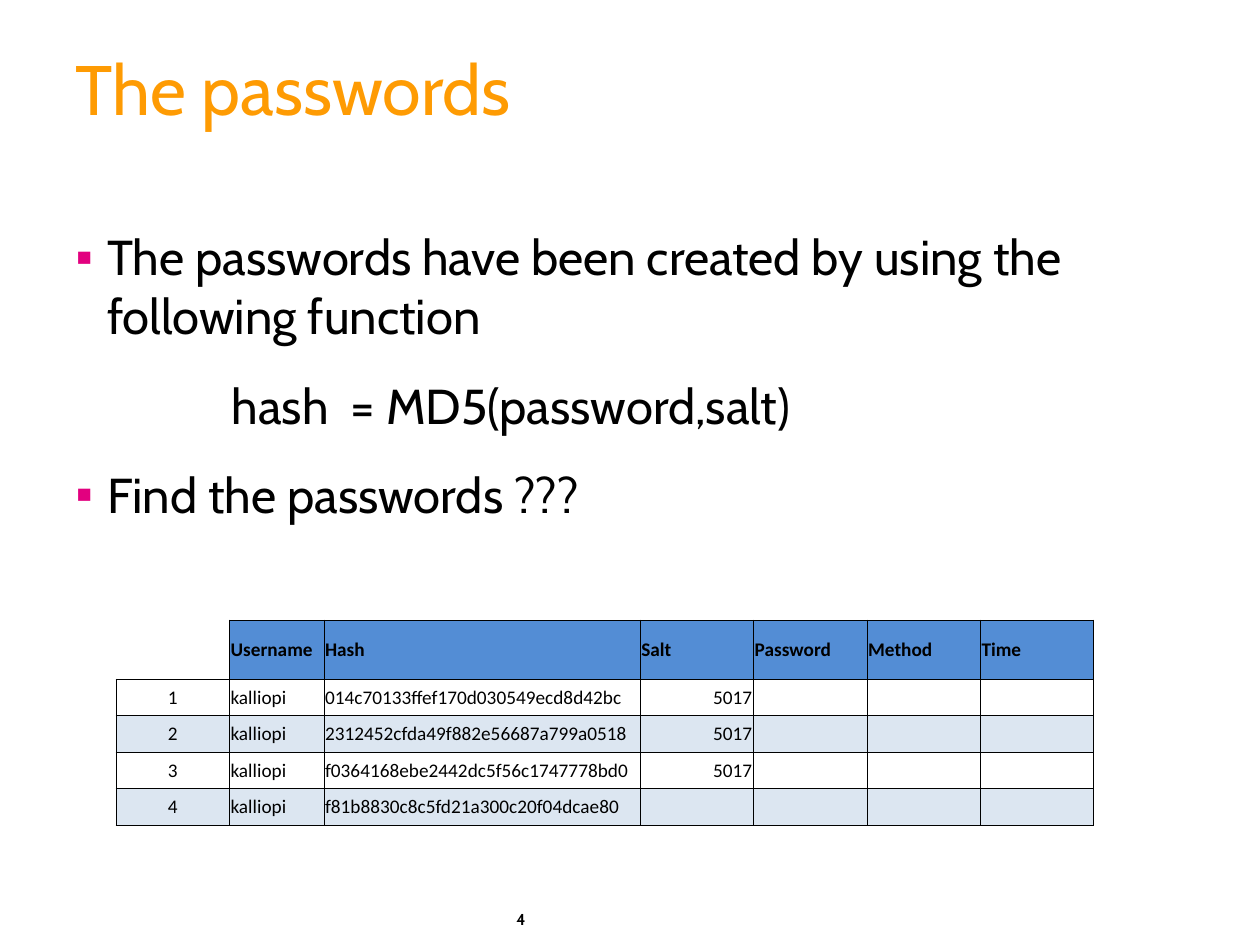
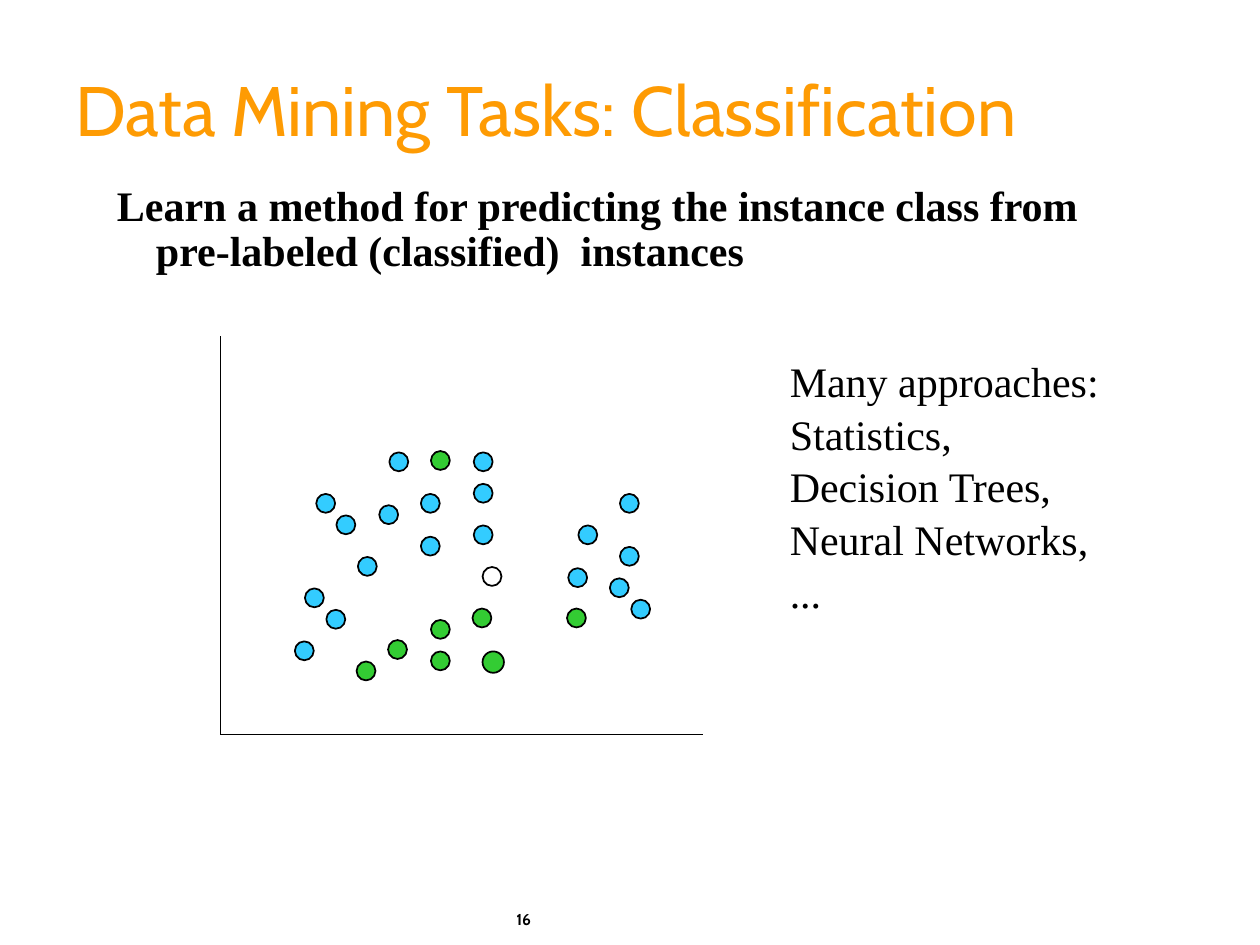
from lxml.etree import SubElement
from pptx import Presentation
from pptx.dml.color import RGBColor
from pptx.enum.shapes import MSO_CONNECTOR, MSO_SHAPE
from pptx.enum.text import MSO_ANCHOR, MSO_AUTO_SIZE, PP_ALIGN
from pptx.oxml import parse_xml
from pptx.oxml.ns import nsdecls, qn
from pptx.util import Inches, Pt

ORANGE = RGBColor(0xFE, 0x9B, 0x03)
PINK = RGBColor(0xE2, 0x00, 0x7F)
BLACK = RGBColor(0x00, 0x00, 0x00)
WHITE = RGBColor(0xFF, 0xFF, 0xFF)
HEAD = RGBColor(0x53, 0x8D, 0xD5)
BAND = RGBColor(0xDC, 0xE6, 0xF1)
SKY = RGBColor(0x33, 0xCC, 0xFF)
GREEN = RGBColor(0x33, 0xCC, 0x33)

MAIN, GRID, SERIF = "Cabin", "Calibri", "Times New Roman"
CONTENT, TITLED = 1, 5
LEFT, WIDE = 0.5, 9.08
DOT = 0.15

USERS = [
    ["", "Username", "Hash", "Salt", "Password", "Method", "Time"],
    ["1", "kalliopi", "014c70133ffef170d030549ecd8d42bc", "5017", "", "", ""],
    ["2", "kalliopi", "2312452cfda49f882e56687a799a0518", "5017", "", "", ""],
    ["3", "kalliopi", "f0364168ebe2442dc5f56c1747778bd0", "5017", "", "", ""],
    ["4", "kalliopi", "f81b8830c8c5fd21a300c20f04dcae80", "", "", "", ""],
]
COLS = [0.9, 0.75, 2.51, 0.9, 0.9, 0.9, 0.9]
ALIGNS = {0: PP_ALIGN.CENTER, 3: PP_ALIGN.RIGHT}

BLUES = [
    (2.51, 3.92), (2.67, 4.09), (3.01, 4.01), (3.34, 3.92), (2.42, 4.67),
    (3.76, 3.59), (2.84, 4.42), (3.34, 4.26), (3.76, 4.17), (2.59, 4.84),
    (2.34, 5.09), (3.09, 3.59), (3.76, 3.84), (4.92, 3.92), (4.59, 4.17),
    (4.51, 4.51), (4.84, 4.59), (5.01, 4.76), (4.92, 4.34),
]
GREENS = [
    (2.83, 5.25), (3.08, 5.08), (3.42, 5.17), (3.42, 4.92),
    (3.75, 4.83), (3.42, 3.58), (4.5, 4.83),
]


def place(shape, left, top, width, height):
    shape.left, shape.top = Inches(left), Inches(top)
    shape.width, shape.height = Inches(width), Inches(height)


def style(par, size, name=MAIN, color=BLACK, bold=False):
    font = par.font
    font.size, font.name, font.bold = Pt(size), name, bold
    font.color.rgb = color


def indent(par, left, first=0):
    props = par._p.get_or_add_pPr()
    props.set("marL", str(Inches(left)))
    props.set("indent", str(Inches(first)))
    return props


def border(cell, sides, color=BLACK):
    """Draw the given sides of a cell and clear the rest."""
    props = cell._tc.get_or_add_tcPr()
    for spot, side in enumerate("LRTB"):
        paint = (f'<a:solidFill><a:srgbClr val="{color}"/></a:solidFill>'
                 if side in sides else "<a:noFill/>")
        props.insert(spot, parse_xml(
            f'<a:ln{side} {nsdecls("a")} w="{Pt(0.23)}">{paint}</a:ln{side}>'))


class Deck:
    def __init__(self):
        self.show = Presentation()
        self.show.slide_width, self.show.slide_height = Inches(10), Inches(7.5)
        self.slide = None

    def start(self, layout, title, anchor, number):
        """Add a slide with its title and page number."""
        self.slide = self.show.slides.add_slide(self.show.slide_layouts[layout])
        shape = self.slide.shapes.title
        place(shape, LEFT, 0.25, WIDE, 1)
        frame = shape.text_frame
        frame.text = title
        frame.auto_size = MSO_AUTO_SIZE.NONE
        frame.vertical_anchor = anchor
        par = frame.paragraphs[0]
        par.alignment, par.line_spacing = PP_ALIGN.LEFT, 0.85
        style(par, 40, color=ORANGE)
        self.text([number], 4, 7.17, 1.02, 0.33, 9, MAIN, True)

    def text(self, lines, left, top, width, height, size, name, bold=False):
        box = self.slide.shapes.add_textbox(
            Inches(left), Inches(top), Inches(width), Inches(height))
        frame = box.text_frame
        frame.word_wrap = True
        frame.text = "\n".join(lines)
        for par in frame.paragraphs:
            style(par, size, name, bold=bold)
        return frame.paragraphs

    def body(self, items):
        """Fill the body with (text, bulleted) items."""
        shape = self.slide.placeholders[1]
        place(shape, LEFT, 1.75, WIDE, 5.17)
        frame = shape.text_frame
        frame.auto_size = MSO_AUTO_SIZE.NONE
        frame.text = "\n".join(text for text, _ in items)
        for par, (_, marked) in zip(frame.paragraphs, items):
            par.space_before = Pt(17.5)
            if marked:
                props = indent(par, 0.25, -0.25)
                tint = SubElement(props, qn("a:buClr"))
                SubElement(tint, qn("a:srgbClr"), val=str(PINK))
                SubElement(props, qn("a:buChar"), char="▪")
            else:
                SubElement(indent(par, 1.24), qn("a:buNone"))
            style(par, 28)

    def table(self, rows, left, top):
        heights = [0.47] + [0.29] * (len(rows) - 1)
        table = self.slide.shapes.add_table(
            len(rows), len(COLS), Inches(left), Inches(top),
            Inches(sum(COLS)), Inches(sum(heights))).table
        table.first_row = table.horz_banding = False
        for col, width in zip(table.columns, COLS):
            col.width = Inches(width)
        for r, (row, height) in enumerate(zip(rows, heights)):
            table.rows[r].height = Inches(height)
            for c, text in enumerate(row):
                self.cell(table.cell(r, c), text, r, c)

    def cell(self, cell, text, r, c):
        corner = r == c == 0
        cell.text = text
        cell.vertical_anchor = MSO_ANCHOR.MIDDLE
        cell.margin_left = cell.margin_right = Inches(0.01)
        if corner or r % 2:
            cell.fill.background()
        else:
            cell.fill.solid()
            cell.fill.fore_color.rgb = BAND if r else HEAD
        border(cell, "RB" if corner else "LRTB")
        par = cell.text_frame.paragraphs[0]
        if r:
            par.alignment = ALIGNS.get(c, PP_ALIGN.LEFT)
        style(par, 11, GRID, bold=r == 0)
        if not text:
            SubElement(par._p, qn("a:endParaRPr"), sz="1100")

    def line(self, *ends):
        line = self.slide.shapes.add_connector(
            MSO_CONNECTOR.STRAIGHT, *map(Inches, ends))
        line.line.color.rgb, line.line.width = BLACK, Pt(1)
        SubElement(line._element.spPr, qn("a:effectLst"))

    def dot(self, left, top, color, size=DOT):
        dot = self.slide.shapes.add_shape(
            MSO_SHAPE.OVAL, Inches(left), Inches(top), Inches(size), Inches(size))
        dot.shadow.inherit = False
        dot.fill.solid()
        dot.fill.fore_color.rgb = color
        dot.line.color.rgb, dot.line.width = BLACK, Pt(1)


def hashes(deck):
    deck.start(CONTENT, "The passwords", MSO_ANCHOR.MIDDLE, "4")
    deck.body([
        ("The passwords have been created by using the following function", True),
        ("hash  = MD5(password,salt)", False),
        ("Find the passwords ???", True),
    ])
    deck.table(USERS, 0.92, 4.92)


def mining(deck):
    deck.start(TITLED, "Data Mining Tasks: Classification", MSO_ANCHOR.BOTTOM, "16")
    goal = deck.text(
        ["Learn a method for predicting the instance class from "
         "pre-labeled (classified)  instances"],
        0.83, 1.42, 7.83, 0.82, 24, SERIF, True)[0]
    goal.line_spacing, goal.space_before = 0.9, Pt(9)
    indent(goal, 0.31, -0.31)

    deck.line(1.75, 2.67, 1.75, 5.83)
    deck.line(1.75, 5.83, 5.58, 5.83)
    for color, spots in ((SKY, BLUES), (GREEN, GREENS), (WHITE, [(3.83, 4.5)])):
        for left, top in spots:
            deck.dot(left, top, color)
    deck.dot(3.83, 5.17, GREEN, 0.17)

    ways = deck.text(
        ["Many approaches: Statistics,", "Decision Trees, Neural Networks,", "..."],
        6.17, 2.75, 3.17, 2.1, 24, SERIF)
    for par in ways:
        par.line_spacing = 1.05


def main():
    deck = Deck()
    hashes(deck)
    mining(deck)
    deck.show.save("out.pptx")


if __name__ == "__main__":
    main()
